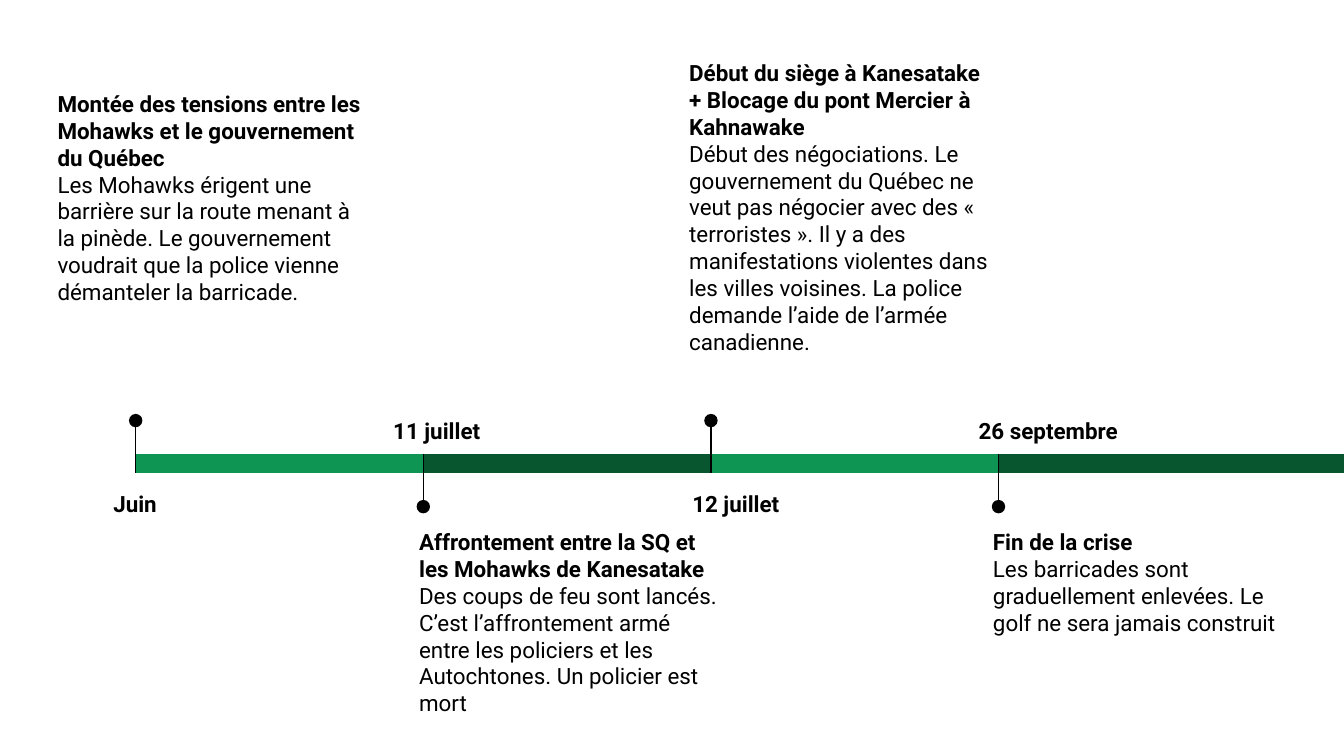
from lxml import etree
from pptx import Presentation
from pptx import util as u
from pptx.dml.color import RGBColor
from pptx.enum import shapes, text
from pptx.oxml.ns import qn

COLORS = {"light": "0E9453", "dark": "085630", "ink": "000000"}
FONT = "Roboto"
START, STEP, SLIDE_WIDTH = 1.01, 2.14, 10
BAR_TOP, BAR_HEIGHT = 3.38, 0.14
STEM, DOT = 0.39, 0.1
LABEL_HEIGHT, BODY_WIDTH = 0.41, 2.46

MILESTONES = [
    dict(date="Juin", label=(-0.48, 0.95), body=(-0.68, 0.57, 1.33), above=True,
         heading="Montée des tensions entre les Mohawks et le gouvernement du Québec",
         detail="Les Mohawks érigent une barrière sur la route menant à la pinède. "
                "Le gouvernement voudrait que la police vienne démanteler la barricade."),
    dict(date="11 juillet", label=(-0.4, 1), body=(-0.13, 3.83, 1.03), above=False,
         heading="Affrontement entre la SQ et les Mohawks de Kanesatake",
         detail="Des coups de feu sont lancés. C’est l’affrontement armé entre les "
                "policiers et les Autochtones. Un policier est mort"),
    dict(date="12 juillet", label=(-0.35, 1.07), body=(-0.26, 0.34, 1.03), above=True,
         heading="Début du siège à Kanesatake + Blocage du pont Mercier à Kahnawake",
         detail="Début des négociations. Le gouvernement du Québec ne veut pas négocier "
                "avec des « terroristes ». Il y a des manifestations violentes dans les "
                "villes voisines. La police demande l’aide de l’armée canadienne."),
    dict(date="26 septembre", label=(-0.41, 1.56), body=(-0.14, 3.83, 1.03), above=False,
         heading="Fin de la crise",
         detail="Les barricades sont graduellement enlevées. "
                "Le golf ne sera jamais construit"),
]


def color(name):
    return RGBColor.from_string(COLORS[name])


def inches(*lengths):
    return [u.Inches(length) for length in lengths]


def add_text(group, box, lines, align=text.PP_ALIGN.LEFT, spacing=None):
    frame = group.shapes.add_textbox(*inches(*box)).text_frame
    frame.word_wrap = True
    frame.margin_left = frame.margin_right = u.Inches(0.1)
    frame.margin_top = frame.margin_bottom = u.Inches(0.1)
    for index, (content, bold) in enumerate(lines):
        paragraph = frame.add_paragraph() if index else frame.paragraphs[0]
        paragraph.alignment = align
        paragraph.line_spacing = spacing
        run = paragraph.add_run()
        run.text = content
        run.font.name = FONT
        run.font.size = u.Pt(12)
        run.font.bold = bold
        run.font.color.rgb = color("ink")
    paragraph.space_after = u.Pt(16)


def add_filled(group, kind, box, fill):
    shape = group.shapes.add_shape(kind, *inches(*box))
    shape.shadow.inherit = False
    shape.fill.solid()
    shape.fill.fore_color.rgb = color(fill)
    shape.line.fill.background()


def add_stem(group, left, start, end):
    connector = group.shapes.add_connector(
        shapes.MSO_CONNECTOR.STRAIGHT, *inches(left, start, left, end))
    connector.line.color.rgb = color("ink")
    connector.line.width = u.Pt(0.75)
    etree.SubElement(connector.element.spPr, qn("a:effectLst"))


def add_milestone(slide, box, milestone):
    left, top, width, height = box
    above = milestone["above"]
    bottom = top + height
    group = slide.shapes.add_group_shape()
    add_filled(group, shapes.MSO_SHAPE.RECTANGLE, box, "light" if above else "dark")

    start, end = (bottom - STEM, bottom) if above else (top + STEM, top)
    add_stem(group, left, start, end)
    add_filled(group, shapes.MSO_SHAPE.OVAL,
               (left - DOT / 2, start - DOT / 2, DOT, DOT), "ink")

    offset, label_width = milestone["label"]
    label_top = bottom if above else top - LABEL_HEIGHT
    add_text(group, (left + offset, label_top, label_width, LABEL_HEIGHT),
             [(milestone["date"], True)], align=text.PP_ALIGN.CENTER, spacing=1.15)

    offset, body_top, body_height = milestone["body"]
    add_text(group, (left + offset, body_top, BODY_WIDTH, body_height),
             [(milestone["heading"], True), (milestone["detail"], False)])


def add_timeline(slide, box):
    left, top, width, height = box
    last = len(MILESTONES) - 1
    for index, milestone in enumerate(MILESTONES):
        segment_left = left + index * STEP
        segment_width = left + width - segment_left if index == last else STEP
        add_milestone(slide, (segment_left, top, segment_width, height), milestone)


def main():
    presentation = Presentation()
    presentation.slide_width = u.Inches(SLIDE_WIDTH)
    presentation.slide_height = u.Inches(SLIDE_WIDTH * 9 / 16)
    slide = presentation.slides.add_slide(presentation.slide_layouts[6])
    add_timeline(slide, (START, BAR_TOP, SLIDE_WIDTH - START, BAR_HEIGHT))
    presentation.save("out.pptx")


if __name__ == "__main__":
    main()
